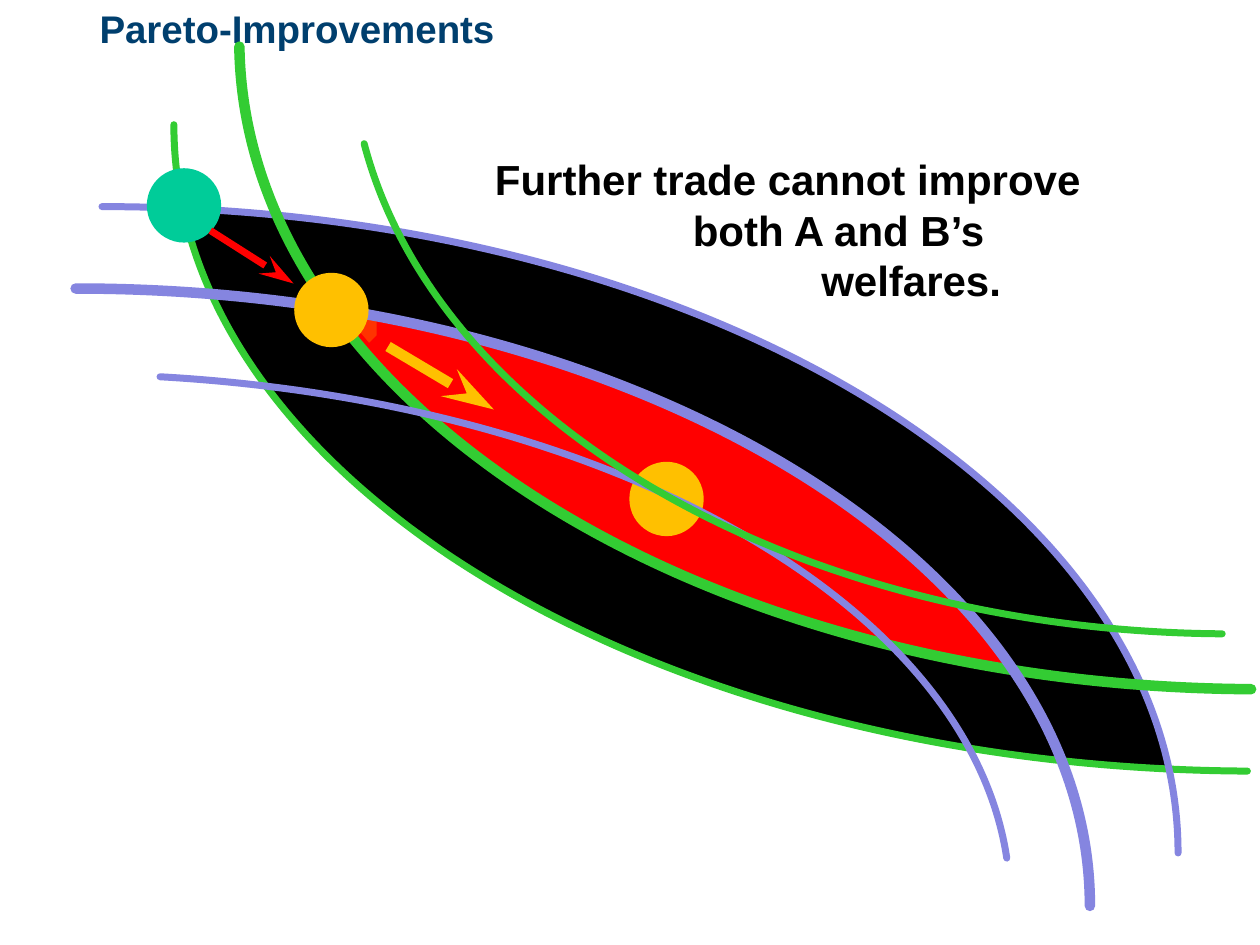
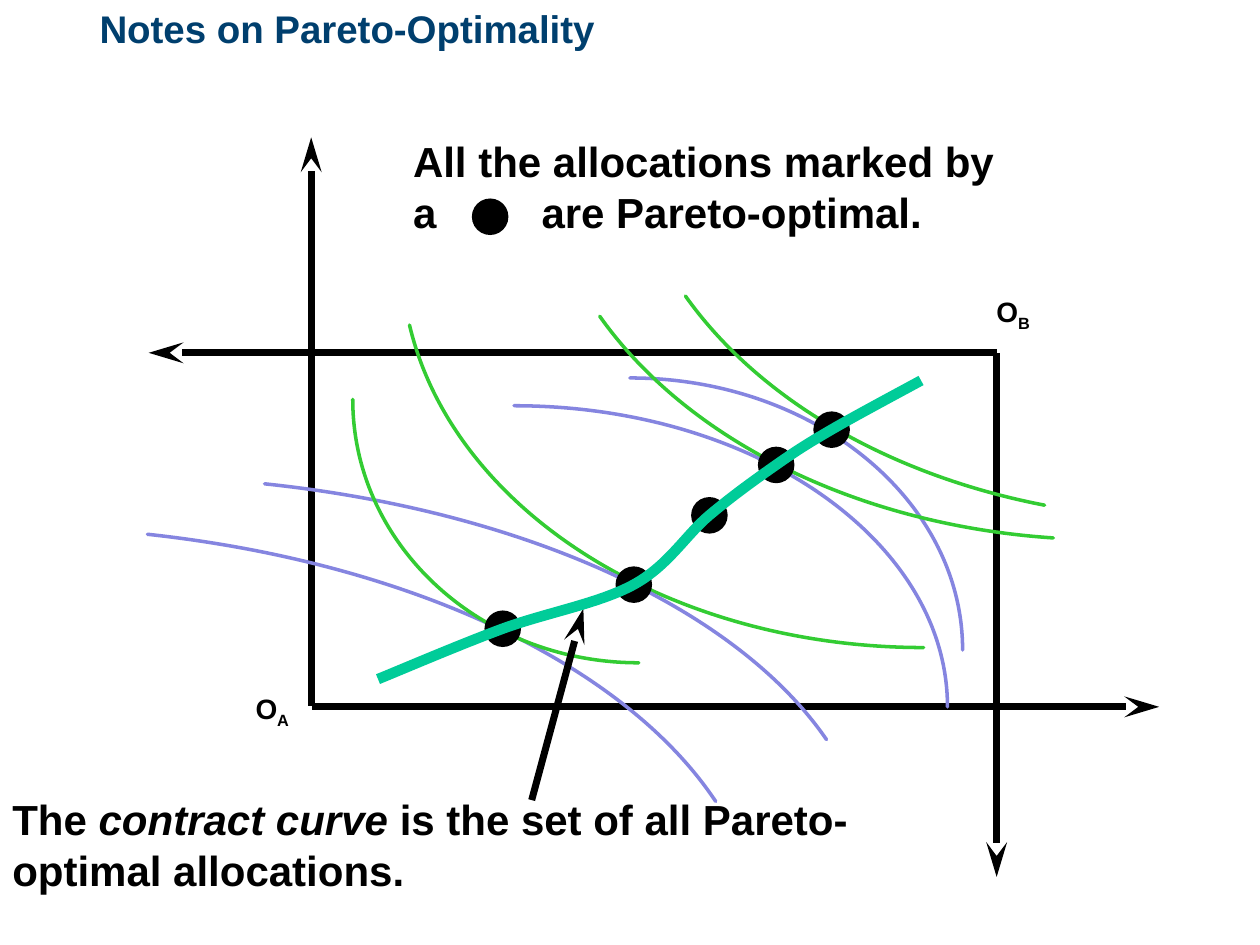
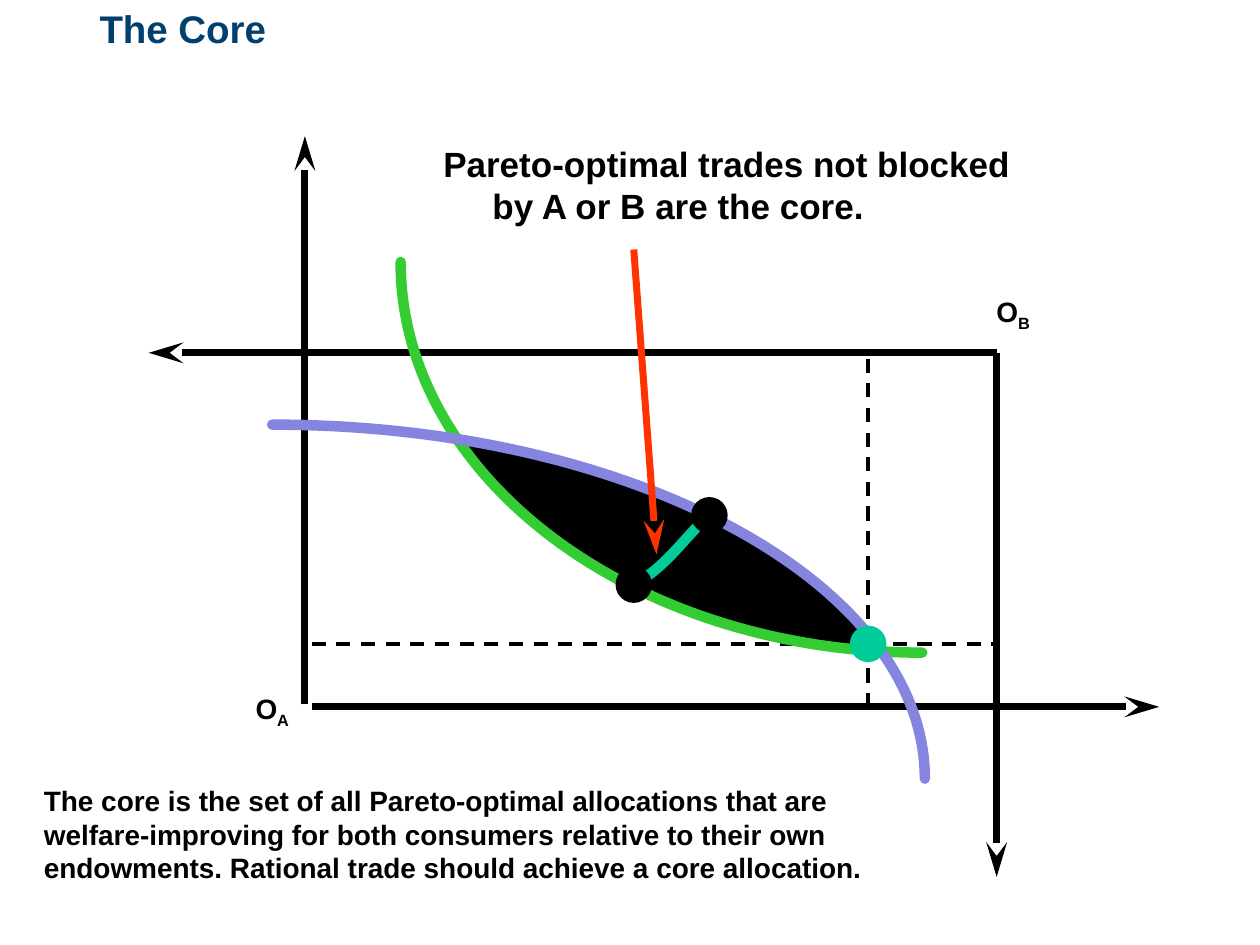
"""Build three slides on Pareto-improvements, the contract curve and the core."""
import math
from dataclasses import dataclass

import pptx
import pptx.dml.color
import pptx.enum.dml
import pptx.enum.shapes
import pptx.oxml.ns
import pptx.util
from lxml import etree
from pptx.util import Inches

COLORS = {
    "title": "003F6E", "black": "000000", "green": "33CC33", "violet": "8585E0",
    "teal": "00CC99", "amber": "FFC000", "red": "FF0000", "orange": "FF3300",
}
CONSUMER_A, CONSUMER_B = "green", "violet"
FONT = "Arial"
DOT, MARKER = 0.29, 0.59
THIN, MEDIUM, THICK = 2, 4, 6
LENS_STEPS = 80

BOX_LEFT, BOX_TOP, BOX_RIGHT, BOX_BOTTOM = 2.48, 2.8, 7.91, 5.61
AXIS_HEIGHT = 4.51

OPTIMA = [(3.99, 4.99), (5.03, 4.64), (5.63, 4.09), (6.16, 3.69), (6.6, 3.41)]
CORE_ENDS = OPTIMA[1:3]
CONTRACT_STOPS = [(3, 5.39), *OPTIMA, (7.31, 3.02)]


@dataclass
class Indifference:
    """An elliptical arc from its flat end to its steep end, a quarter by default."""
    consumer: str
    flat: tuple
    steep: tuple
    centre: tuple = None

    def __post_init__(self):
        """Find the radii and end angles of the ellipse through both ends."""
        self.centre = self.centre or (self.flat[0], self.steep[1])
        flat_x, flat_y = self.offset(self.flat)
        steep_x, steep_y = self.offset(self.steep)
        scale = (flat_x * steep_y) ** 2 - (steep_x * flat_y) ** 2
        self.radius_x = math.sqrt(scale / (steep_y ** 2 - flat_y ** 2))
        self.radius_y = math.sqrt(scale / (flat_x ** 2 - steep_x ** 2))
        self.first = math.atan2(flat_y / self.radius_y, flat_x / self.radius_x)
        self.last = math.atan2(steep_y / self.radius_y, steep_x / self.radius_x)

    def offset(self, point):
        """Return the point relative to the centre."""
        return point[0] - self.centre[0], point[1] - self.centre[1]

    def point(self, angle):
        """Return the point of the ellipse at an angle."""
        return (self.centre[0] + self.radius_x * math.cos(angle),
                self.centre[1] + self.radius_y * math.sin(angle))

    def handle(self, angle, reach):
        """Return the point a given reach along the tangent at an angle."""
        x, y = self.point(angle)
        return (x - reach * self.radius_x * math.sin(angle),
                y + reach * self.radius_y * math.cos(angle))

    def bend(self):
        """Return the start, two controls and end of the matching cubic."""
        reach = 4 / 3 * math.tan((self.last - self.first) / 4)
        return [self.flat, self.handle(self.first, reach),
                self.handle(self.last, -reach), self.steep]

    def prefers(self, point):
        """Tell whether the point lies inside the ellipse."""
        x, y = self.offset(point)
        return (x / self.radius_x) ** 2 + (y / self.radius_y) ** 2 <= 1

    def part_inside(self, other):
        """Return the points of the arc that the other ellipse holds."""
        step = (self.last - self.first) / LENS_STEPS
        points = [self.point(self.first + step * index) for index in range(LENS_STEPS + 1)]
        return [point for point in points if other.prefers(point)]


def smooth_bends(stops):
    """Return cubic points through the stops, each tangent set by its neighbours."""
    padded = [stops[0], *stops, stops[-1]]
    points = [stops[0]]
    for before, start, end, after in zip(padded, padded[1:], padded[2:], padded[3:]):
        points += [
            tuple(s + (e - b) / 6 for b, s, e in zip(before, start, end)),
            tuple(e - (a - s) / 6 for s, e, a in zip(start, end, after)),
            end,
        ]
    return points


def rgb(name):
    """Return the named colour."""
    return pptx.dml.color.RGBColor.from_string(COLORS[name])


def add_xml(parent, tag, **attributes):
    """Append a drawing element and return it."""
    return etree.SubElement(parent, pptx.oxml.ns.qn(tag), attributes)


class Painter:
    """Hold the deck, its style and the current slide."""

    def __init__(self):
        """Open an empty deck of the right size."""
        self.deck = pptx.Presentation()
        self.deck.slide_width, self.deck.slide_height = Inches(10), Inches(7.5)
        self.page = None

    def start(self, title):
        """Add a blank slide with its title."""
        self.page = self.deck.slides.add_slide(self.deck.slide_layouts[6])
        self.text(0.79, 0.04, 6.5, 0.92, [[title]], 22, "title", inset=(0, 0))

    def text(self, left, top, width, height, lines, size, color="black",
             inset=(0.1, 0.05), indents=(), tab=None):
        """Add bold lines; a run is a string or a (string, style) pair."""
        box = self.page.shapes.add_textbox(*map(Inches, (left, top, width, height)))
        frame = box.text_frame
        frame.word_wrap = True
        frame.margin_left = frame.margin_right = Inches(inset[0])
        frame.margin_top = frame.margin_bottom = Inches(inset[1])
        for index, line in enumerate(lines):
            para = frame.add_paragraph() if index else frame.paragraphs[0]
            properties = para._p.get_or_add_pPr()
            if indents:
                properties.set("marL", str(Inches(indents[index])))
            if tab:
                stops = add_xml(properties, "a:tabLst")
                add_xml(stops, "a:tab", pos=str(Inches(tab)), algn="l")
            for part in line:
                words, style = (part, None) if isinstance(part, str) else part
                span = para.add_run()
                span.text = words
                span.font.name, span.font.size = FONT, pptx.util.Pt(size)
                span.font.bold = True
                span.font.color.rgb = rgb(color)
                if style == "italic":
                    span.font.italic = True
                elif style == "subscript":
                    span._r.get_or_add_rPr().set("baseline", "-25000")

    def stroke(self, shape, color, width):
        """Colour an outline and return its element."""
        shape.line.color.rgb = rgb(color)
        shape.line.width = pptx.util.Pt(width)
        return shape._element.spPr.find(pptx.oxml.ns.qn("a:ln"))

    def straight(self, start, end, color, width):
        """Add a straight line and return it with its outline element."""
        connector = self.page.shapes.add_connector(
            pptx.enum.shapes.MSO_CONNECTOR.STRAIGHT, *map(Inches, (*start, *end)))
        outline = self.stroke(connector, color, width)
        add_xml(connector._element.spPr, "a:effectLst")
        return connector, outline

    def arrow(self, start, end, color="black", width=MEDIUM):
        """Add an arrow."""
        _, outline = self.straight(start, end, color, width)
        add_xml(outline, "a:tailEnd", type="stealth", w="med", len="lg")

    def dashes(self, start, end):
        """Add a thin dashed line."""
        connector, _ = self.straight(start, end, "black", THIN)
        connector.line.dash_style = pptx.enum.dml.MSO_LINE.DASH

    def dot(self, centre, size=DOT, color="black"):
        """Add a filled circle around a centre."""
        left, top = (place - size / 2 for place in centre)
        circle = self.page.shapes.add_shape(
            pptx.enum.shapes.MSO_SHAPE.OVAL, *map(Inches, (left, top, size, size)))
        circle.shadow.inherit = False
        circle.fill.solid()
        circle.fill.fore_color.rgb = rgb(color)
        circle.line.fill.background()

    def outline(self, points, close):
        """Add a freeform through the points."""
        corners = [(Inches(x), Inches(y)) for x, y in points]
        builder = self.page.shapes.build_freeform(*corners[0])
        builder.add_line_segments(corners[1:], close=close)
        shape = builder.convert_to_shape()
        shape.shadow.inherit = False
        return shape

    def area(self, points, color, edge=None):
        """Add a filled region."""
        shape = self.outline(points, True)
        shape.fill.solid()
        shape.fill.fore_color.rgb = rgb(color)
        if edge:
            self.stroke(shape, edge, 1)
        else:
            shape.line.fill.background()

    def lens(self, curve_a, curve_b, color, edge=None):
        """Fill the region that both consumers prefer."""
        points = curve_a.part_inside(curve_b) + curve_b.part_inside(curve_a)
        self.area(points, color, edge)

    def curve(self, points, color, width, cap="flat"):
        """Add a smooth line: a start, then two controls and an end per bend."""
        shape = self.outline(points, False)
        shape.fill.background()
        self.stroke(shape, color, width).set("cap", cap)
        segments = list(shape._element.iter(pptx.oxml.ns.qn("a:lnTo")))
        track = segments[0].getparent()
        for first in range(0, len(segments), 3):
            bend = add_xml(track, "a:cubicBezTo")
            for segment in segments[first:first + 3]:
                bend.append(segment[0])
                track.remove(segment)

    def indifference(self, curve, width):
        """Add an indifference curve in its consumer's colour."""
        self.curve(curve.bend(), curve.consumer, width, cap="rnd")

    def exchange_box(self, axis_x, axis_top):
        """Add the axes and origins of both consumers."""
        self.arrow((axis_x, axis_top + AXIS_HEIGHT), (axis_x, axis_top))
        self.arrow((BOX_LEFT, BOX_BOTTOM), (9.2, BOX_BOTTOM))
        self.arrow((BOX_RIGHT, BOX_TOP), (BOX_RIGHT, 6.96))
        self.arrow((BOX_RIGHT, BOX_TOP), (1.18, BOX_TOP))
        for consumer, left, top in (("A", 1.93, 5.44), ("B", 7.81, 2.29)):
            self.text(left, top, 0.76, 0.63, [["O", (consumer, "subscript")]], 16)


def improvements(painter):
    """Draw the slide on Pareto-improvements."""
    endowment, first_trade, optimum = (1.46, 1.63), (2.63, 2.46), (5.29, 3.96)
    endowment_a = Indifference(CONSUMER_A, (9.9, 6.12), (1.38, 0.99), (9.97, 0.99))
    endowment_b = Indifference(CONSUMER_B, (0.81, 1.64), (9.35, 6.77))
    traded_a = Indifference(CONSUMER_A, (9.93, 5.47), (1.9, 0.37), (10, 0.32))
    traded_b = Indifference(CONSUMER_B, (0.6, 2.29), (8.65, 7.19))
    optimal_a = Indifference(CONSUMER_A, (9.7, 5.03), (2.89, 1.14), (9.77, 0.32))
    optimal_b = Indifference(CONSUMER_B, (1.27, 2.99), (7.99, 6.81), (0.52, 7.16))

    painter.start("Pareto-Improvements")
    painter.lens(endowment_a, endowment_b, "black")
    painter.lens(traded_a, traded_b, "red", edge=CONSUMER_B)
    painter.indifference(endowment_a, MEDIUM)
    painter.indifference(endowment_b, MEDIUM)
    painter.dot(optimum, MARKER, "amber")
    painter.area([(2.76, 2.52), (2.93, 2.72), (2.99, 2.66), (2.99, 2.52)], "orange")
    painter.indifference(traded_a, THICK)
    painter.indifference(traded_b, THICK)
    painter.dot(endowment, MARKER, "teal")
    painter.indifference(optimal_b, MEDIUM)
    painter.indifference(optimal_a, MEDIUM)
    painter.dot(first_trade, MARKER, "amber")
    painter.arrow((1.67, 1.83), (2.33, 2.25), "red")
    painter.text(3.83, 1.17, 4.9, 1.31, [["Further trade cannot improve"],
                 ["both A and B’s"], ["welfares."]], 24, indents=(0, 1.57, 2.59))
    painter.arrow((3.08, 2.75), (3.92, 3.25), "amber", THICK)


def optimality(painter):
    """Draw the slide on the contract curve."""
    curves = [
        Indifference(CONSUMER_A, (7.33, 5.14), (3.25, 2.58), (7.33, 2.04)),
        Indifference(CONSUMER_B, (4.08, 3.22), (7.52, 5.61)),
        Indifference(CONSUMER_B, (5, 3), (7.64, 5.16)),
        Indifference(CONSUMER_B, (2.1, 3.84), (6.56, 5.87), (0.94, 6.96)),
        Indifference(CONSUMER_B, (1.17, 4.24), (5.68, 6.36), (0, 7.5)),
        Indifference(CONSUMER_A, (5.07, 5.26), (2.8, 3.17)),
        Indifference(CONSUMER_A, (8.36, 4.27), (4.76, 2.51), (8.77, 1.03)),
        Indifference(CONSUMER_A, (8.29, 4.01), (5.44, 2.35), (9.46, 0.87)),
    ]
    painter.start("Notes on Pareto-Optimality")
    painter.exchange_box(2.47, 1.09)
    for curve in curves:
        painter.indifference(curve, THIN)
    painter.text(3.18, 1.03, 4.86, 0.91, [["All the allocations marked by"],
                 ["a\tare Pareto-optimal."]], 24, tab=1.02)
    painter.dot((3.89, 1.72))
    painter.text(0, 6.25, 7.17, 0.91, [["The ", ("contract curve", "italic"),
                 " is the set of all Pareto-optimal allocations."]], 24)
    painter.arrow((4.22, 6.35), (4.63, 4.83))
    for optimum in OPTIMA:
        painter.dot(optimum)
    painter.curve(smooth_bends(CONTRACT_STOPS), "teal", THICK)


def core(painter):
    """Draw the slide on the core."""
    endowment_x, endowment_y = endowment = (6.89, 5.11)
    endowment_a = Indifference(CONSUMER_A, (7.32, 5.18), (3.18, 2.08))
    endowment_b = Indifference(CONSUMER_B, (2.16, 3.37), (7.34, 6.18))
    core_start = 3 * CONTRACT_STOPS.index(CORE_ENDS[0])
    core_bend = smooth_bends(CONTRACT_STOPS)[core_start:core_start + 4]

    painter.start("The Core")
    painter.lens(endowment_a, endowment_b, "black")
    painter.exchange_box(2.42, 1.08)
    for side in ((endowment_x, BOX_BOTTOM), (BOX_LEFT, endowment_y),
                 (endowment_x, BOX_TOP), (BOX_RIGHT, endowment_y)):
        painter.dashes(endowment, side)
    painter.indifference(endowment_a, THICK)
    painter.indifference(endowment_b, THICK)
    painter.dot(endowment, color="teal")
    painter.arrow((5.03, 1.98), (5.21, 4.4), "orange")
    painter.curve(core_bend, "teal", THICK)
    for end in CORE_ENDS:
        painter.dot(end)
    painter.text(3.42, 1.08, 4.74, 0.77, [["Pareto-optimal trades not blocked"],
                 ["by A or B are the core."]], 20, indents=(0, 0.39))
    painter.text(0.25, 6.17, 6.75, 0.91, [[
        "The core is the set of all Pareto-optimal allocations that are "
        "welfare-improving for both consumers relative to their own endowments. "
        "Rational trade should achieve a core allocation."]], 16)


def main():
    """Build and save the deck."""
    painter = Painter()
    for draw in (improvements, optimality, core):
        draw(painter)
    painter.deck.save("out.pptx")


if __name__ == "__main__":
    main()
